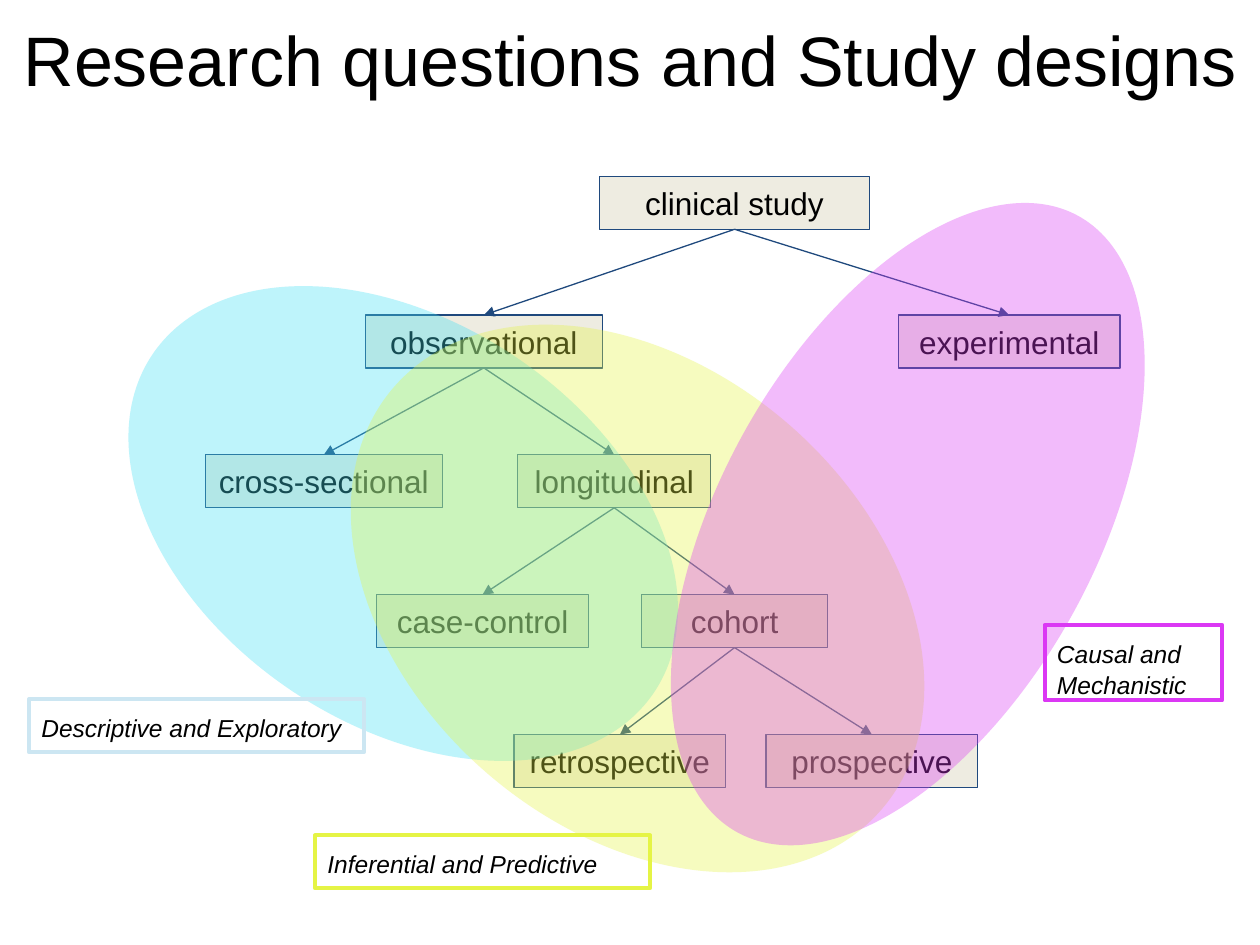
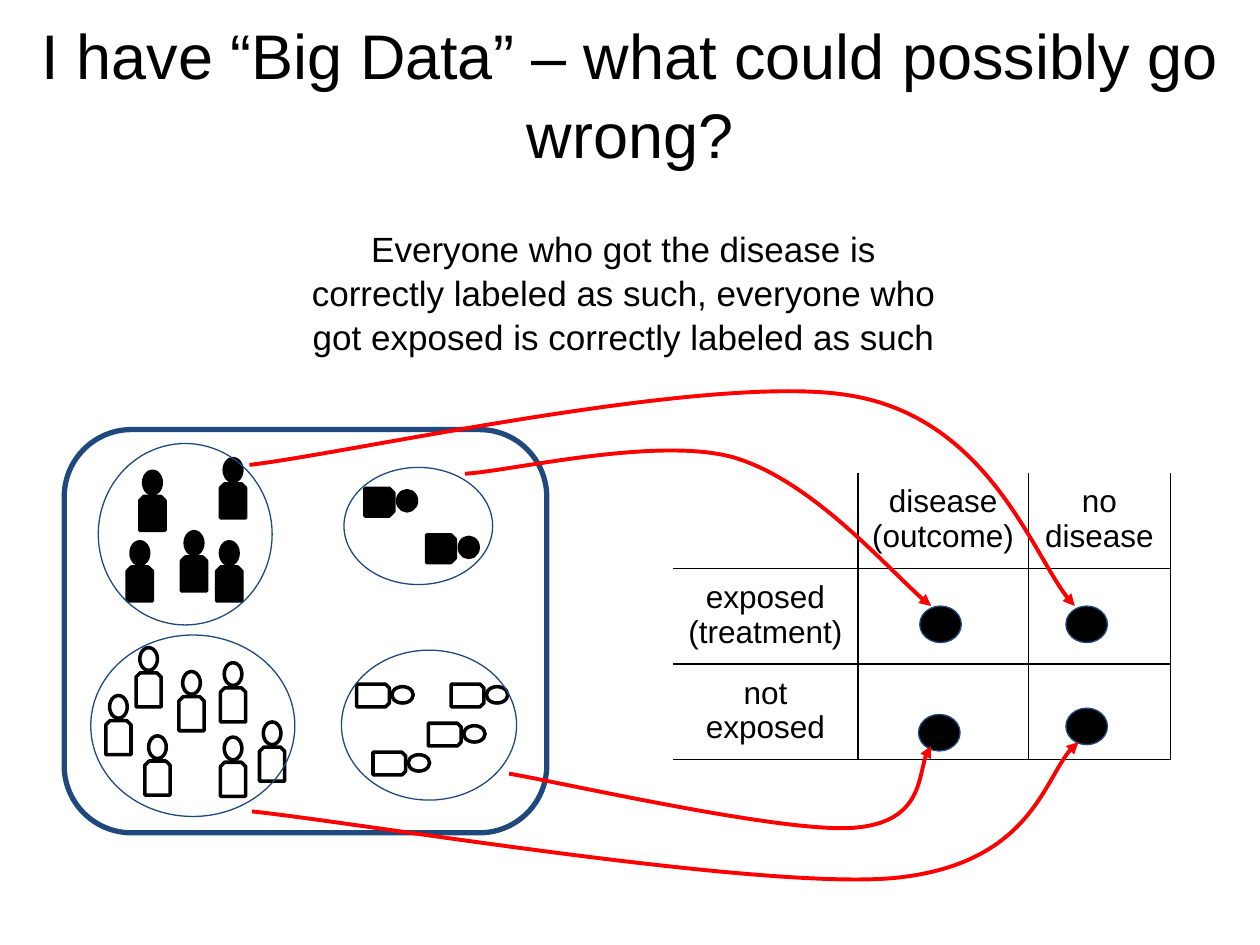
from dataclasses import dataclass
from typing import Any

import lxml.etree
import pptx
import pptx.dml.color
import pptx.enum.shapes
import pptx.enum.text
import pptx.oxml.ns
import pptx.util

FONT = "Arial"
BLACK, WHITE, NAVY, CREAM, RED = "000000", "FFFFFF", "1F497D", "EEECE1", "FF0000"
CYAN, LIME, PINK, PALE = "41DFF4", "E5F445", "DB38F4", "CCE6F2"
PAD = 0.1
KIND = pptx.enum.shapes.MSO_SHAPE
ALIGN = pptx.enum.text.PP_ALIGN
ANCHOR = pptx.enum.text.MSO_ANCHOR
qn = pptx.oxml.ns.qn


@dataclass
class Box:
    left: float
    top: float
    width: float
    height: float = 0.42


@dataclass
class Oval:
    box: Box
    turn: float
    color: str


@dataclass
class Label:
    text: str
    box: Box
    color: str


@dataclass
class Crowd:
    """People in a ring; shift leads from a head's corner to its body's."""
    ring: Box
    fill: str
    spots: list[tuple[float, float]]
    head: tuple[float, float] = (0.14, 0.18)
    body: tuple[float, float] = (0.2, 0.27)
    shift: tuple[float, float] = (-0.03, 0.2)
    turn: float = 0


NODES = {
    "clinical study": Box(4.76, 1.4, 2.14),
    "experimental": Box(7.13, 2.5, 1.76),
    "observational": Box(2.9, 2.5, 1.88),
    "cohort": Box(5.09, 4.72, 1.48),
    "longitudinal": Box(4.11, 3.61, 1.53),
    "cross-sectional": Box(1.63, 3.61, 1.88),
    "case-control": Box(2.99, 4.72, 1.68),
    "retrospective": Box(4.08, 5.83, 1.68),
    "prospective": Box(6.08, 5.83, 1.68),
}
TREE = {
    "clinical study": ("observational", "experimental"),
    "observational": ("cross-sectional", "longitudinal"),
    "longitudinal": ("case-control", "cohort"),
    "cohort": ("prospective", "retrospective"),
}
OVALS = [
    Oval(Box(0.8, 2.56, 4.8, 3.19), 34, CYAN),
    Oval(Box(2.5, 2.92, 5.12, 3.66), 40.9, LIME),
    Oval(Box(4.41, 2.67, 5.59, 2.98), 299, PINK),
]
LABELS = [
    Label("Descriptive and Exploratory", Box(0.23, 5.55, 2.66), PALE),
    Label("Inferential and Predictive", Box(2.5, 6.63, 2.66), LIME),
    Label("Causal and Mechanistic", Box(8.29, 4.96, 1.41, 0.6), PINK),
]
CELLS = [
    ["", "disease (outcome)", "no disease"],
    ["exposed (treatment)", "", ""],
    ["not exposed", "", ""],
]
COLS = (1.47, 1.35, 1.13)
ROW = 0.76
DOTS = [(7.3, 4.81), (8.46, 4.81), (7.29, 5.67), (8.46, 5.62)]
CROWDS = [
    Crowd(Box(0.72, 5.04, 1.62, 1.44), WHITE,
          [(1.11, 5.14), (1.45, 5.33), (0.87, 5.52), (1.78, 5.26),
           (1.78, 5.85), (1.18, 5.84), (2.09, 5.73)]),
    Crowd(Box(0.78, 3.52, 1.38, 1.44), BLACK,
          [(1.14, 3.74), (1.04, 4.3), (1.47, 4.22), (1.78, 3.64), (1.75, 4.3)]),
    Crowd(Box(2.71, 5.16, 1.39, 1.19), WHITE,
          [(3.88, 5.43), (3.7, 5.74), (3.13, 5.43), (3.26, 5.97)],
          (0.13, 0.17), (0.18, 0.26), (-0.26, -0.04), 90),
    Crowd(Box(2.73, 3.71, 1.18, 0.93), BLACK, [(3.15, 3.9), (3.64, 4.27)],
          (0.16, 0.15), (0.22, 0.23), (-0.25, -0.03), 90),
]
CURVES = [
    [(1.98, 3.69), (2.77, 3.6), (5.65, 2.95), (6.75, 3.14),
     (7.84, 3.32), (8.24, 4.53), (8.53, 4.81)],
    [(3.69, 3.76), (4.05, 3.74), (5.21, 3.46), (5.82, 3.63),
     (6.44, 3.81), (7.13, 4.61), (7.39, 4.81)],
    [(2, 6.44), (2.85, 6.53), (5.99, 7.06), (7.08, 6.97),
     (8.17, 6.87), (8.31, 6.07), (8.56, 5.89)],
    [(4.04, 6.14), (4.5, 6.22), (6.21, 6.61), (6.77, 6.57),
     (7.32, 6.53), (7.29, 6.02), (7.39, 5.92)],
]


def size(inch: float) -> pptx.util.Length:
    """Turn inches into a length."""
    return pptx.util.Cm(inch * 2.54)


def place(box: Box) -> list[pptx.util.Length]:
    return [size(v) for v in (box.left, box.top, box.width, box.height)]


def rgb(color: str) -> pptx.dml.color.RGBColor:
    return pptx.dml.color.RGBColor.from_string(color)


def write(frame: Any, text: str, *, points: float = 18, align: Any = ALIGN.CENTER,
          anchor: Any = ANCHOR.TOP, italic: bool = False, space: float = 1.05) -> None:
    frame.word_wrap = True
    frame.auto_size = pptx.enum.text.MSO_AUTO_SIZE.NONE
    frame.vertical_anchor = anchor
    for side in ("left", "top", "right", "bottom"):
        setattr(frame, f"margin_{side}", size(PAD))
    style(frame, text, points, align, italic, space)


def style(frame: Any, text: str, points: float, align: Any, italic: bool,
          space: float) -> None:
    """Fill the first paragraph of a frame with one formatted run."""
    para = frame.paragraphs[0]
    para.alignment, para.line_spacing = align, space
    run = para.add_run()
    run.text = text
    font = run.font
    font.name, font.size, font.italic = FONT, pptx.util.Pt(points), italic
    font.color.rgb = rgb(color=BLACK)


def stroke(line: Any, color: str, width: float) -> None:
    line.color.rgb = rgb(color)
    line.width = pptx.util.Pt(width)


def draw(shapes: Any, kind: Any, box: Box, *, fill: str = "", line: str = "",
         width: float = 0.75, turn: float = 0) -> Any:
    shape = shapes.add_shape(kind, *place(box))
    shape.shadow.inherit = False
    shape.rotation = turn
    if fill:
        shape.fill.solid()
        shape.fill.fore_color.rgb = rgb(fill)
    else:
        shape.fill.background()
    if line:
        stroke(shape.line, line, width)
    else:
        shape.line.fill.background()
    return shape


def point(shape: Any) -> None:
    """Put an arrowhead at the end of a line."""
    edge = next(shape.element.iter(qn("a:ln")))
    lxml.etree.SubElement(edge, qn("a:tailEnd"), type="triangle")


def link(slide: Any, start: Any, end: Any) -> None:
    line = slide.shapes.add_connector(
        pptx.enum.shapes.MSO_CONNECTOR.STRAIGHT, 0, 0, 0, 0)
    line.begin_connect(start, 2)
    line.end_connect(end, 0)
    stroke(line.line, NAVY, 0.75)
    point(line)
    lxml.etree.SubElement(line.element.spPr, qn("a:effectLst"))


def fade(shape: Any, share: int) -> None:
    """Set the opacity of a filled shape in percent."""
    color = next(shape.element.spPr.iter(qn("a:srgbClr")))
    lxml.etree.SubElement(color, qn("a:alpha"), val=str(share * 1000))


def curve(slide: Any, spots: list[tuple[float, float]]) -> None:
    """Draw a red arrow along cubic curves: a start, then three points for each."""
    first, *rest = [(size(x), size(y)) for x, y in spots]
    pen = slide.shapes.build_freeform(*first)
    pen.add_line_segments(rest, close=False)
    shape = pen.convert_to_shape()
    legs = list(shape.element.iter(qn("a:lnTo")))
    route = legs[0].getparent()
    for i in range(0, len(legs), 3):
        bend = lxml.etree.SubElement(route, qn("a:cubicBezTo"))
        for leg in legs[i:i + 3]:
            bend.append(leg[0])
            route.remove(leg)
    shape.shadow.inherit = False
    shape.fill.background()
    stroke(shape.line, RED, 2.25)
    point(shape)


def border(cell: Any, side: str, shown: bool) -> None:
    edge = lxml.etree.SubElement(cell._tc.get_or_add_tcPr(), qn(f"a:ln{side}"),
                                 w=str(pptx.util.Pt(0.75)))
    if shown:
        fill = lxml.etree.SubElement(edge, qn("a:solidFill"))
        lxml.etree.SubElement(fill, qn("a:srgbClr"), val=BLACK)
    else:
        lxml.etree.SubElement(edge, qn("a:noFill"))


def grid(slide: Any) -> None:
    box = Box(5.34, 3.75, sum(COLS), ROW * len(CELLS))
    table = slide.shapes.add_table(len(CELLS), len(COLS), *place(box)).table
    table.first_row = table.horz_banding = False
    for col, width in zip(table.columns, COLS):
        col.width = size(width)
    for r, texts in enumerate(CELLS):
        table.rows[r].height = size(ROW)
        for c, text in enumerate(texts):
            cell = table.cell(r, c)
            for side, shown in zip("LRTB", (c > 0, True, r > 0, True)):
                border(cell, side, shown)
            cell.fill.background()
            for side in ("left", "top", "right", "bottom"):
                setattr(cell, f"margin_{side}", size(PAD))
            if text:
                style(cell.text_frame, text, 18, ALIGN.CENTER, False, 0.98)


def gather(slide: Any, crowd: Crowd) -> None:
    shapes = slide.shapes.add_group_shape().shapes
    look = dict(fill=crowd.fill, line=BLACK, width=2, turn=crowd.turn)
    dx, dy = crowd.shift
    for x, y in crowd.spots:
        draw(shapes, KIND.OVAL, Box(x, y, *crowd.head), **look)
        draw(shapes, KIND.SNIP_2_SAME_RECTANGLE,
             Box(x + dx, y + dy, *crowd.body), **look)
    draw(shapes, KIND.OVAL, crowd.ring, line=NAVY)


def start(deck: Any, text: str, points: float, height: float) -> Any:
    """Add a slide with its title."""
    slide = deck.slides.add_slide(deck.slide_layouts[5])
    title = slide.shapes.title
    title.left, title.top, title.width, title.height = place(Box(0, 0, 10, height))
    write(title.text_frame, text, points=points)
    return slide


def designs(deck: Any) -> None:
    slide = start(deck, "Research questions and Study designs", 40, 1.21)
    nodes = {}
    for text, box in NODES.items():
        nodes[text] = draw(slide.shapes, KIND.RECTANGLE, box, fill=CREAM, line=NAVY)
        write(nodes[text].text_frame, text, anchor=ANCHOR.MIDDLE, space=1)
    for root, ends in TREE.items():
        for end in ends:
            link(slide, nodes[root], nodes[end])
    for oval in OVALS:
        fade(draw(slide.shapes, KIND.OVAL, oval.box, fill=oval.color,
                  turn=oval.turn), 34)
    for label in LABELS:
        shape = draw(slide.shapes, KIND.RECTANGLE, label.box, line=label.color,
                     width=2.25)
        write(shape.text_frame, label.text, points=14, align=ALIGN.LEFT, italic=True)


def data(deck: Any) -> None:
    slide = start(deck, "I have “Big Data” – what could possibly go wrong?", 36, 1.35)
    note = slide.shapes.add_textbox(*place(Box(2.3, 1.69, 5.3, 1.15)))
    write(note.text_frame, "Everyone who got the disease is correctly labeled as such, "
          "everyone who got exposed is correctly labeled as such", points=20)
    draw(slide.shapes, KIND.ROUNDED_RECTANGLE, Box(0.51, 3.41, 3.83, 3.2),
         fill=WHITE, line=NAVY, width=3)
    grid(slide)
    for x, y in DOTS:
        draw(slide.shapes, KIND.OVAL, Box(x, y, 0.33, 0.29), fill=BLACK, line=NAVY)
    for crowd in CROWDS:
        gather(slide, crowd)
    for spots in CURVES:
        curve(slide, spots)


def main() -> None:
    deck = pptx.Presentation()
    deck.slide_width, deck.slide_height = size(10), size(7.5)
    designs(deck)
    data(deck)
    deck.save("out.pptx")


if __name__ == "__main__":
    main()
